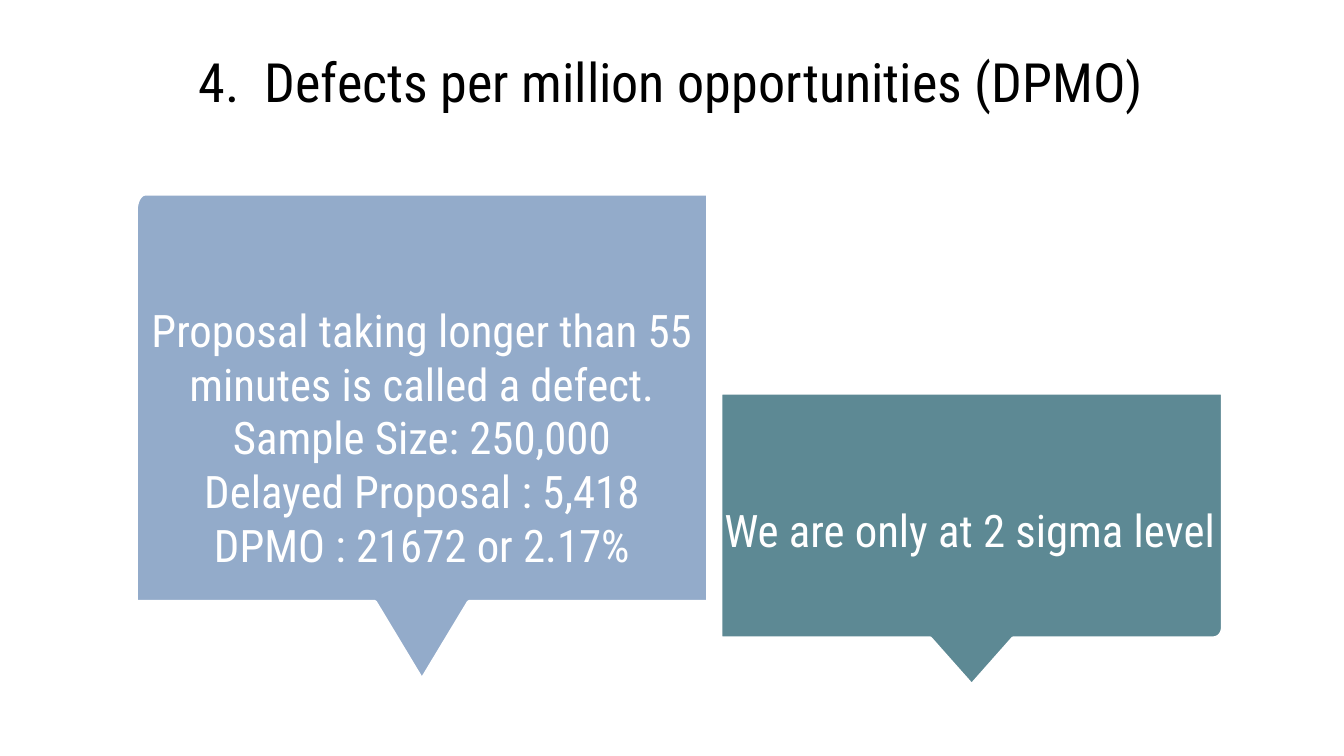
import math

from pptx import Presentation
from pptx.dml.color import RGBColor
from pptx.enum import text
from pptx.util import Inches, Pt

FONT = "Roboto Condensed"
COLORS = {"ink": "000000", "white": "FFFFFF", "blue": "93ABCA", "teal": "5D8994"}
SLIDE_WIDTH = 10
SLIDE_HEIGHT = SLIDE_WIDTH * 9 / 16
ARC_STEPS = 8


def color(name):
    return RGBColor.from_string(COLORS[name])


def write(shape, lines, size, ink):
    """Fill a shape with centred paragraphs, one for each line."""
    frame = shape.text_frame
    frame.word_wrap = True
    frame.vertical_anchor = text.MSO_ANCHOR.MIDDLE
    frame.margin_left = frame.margin_right = Inches(0.1)
    frame.margin_top = frame.margin_bottom = Inches(0.1)
    for index, line in enumerate(lines):
        para = frame.add_paragraph() if index else frame.paragraphs[0]
        para.alignment = text.PP_ALIGN.CENTER
        span = para.add_run()
        span.text = line
        span.font.name = FONT
        span.font.size = Pt(size)
        span.font.color.rgb = color(ink)


def add_label(page, box, lines, size, ink):
    label = page.shapes.add_textbox(*map(Inches, box))
    write(label, lines, size, ink)


def arc(center_x, center_y, radius_x, radius_y, start):
    """Points of a quarter ellipse, from the start angle back by 90 degrees."""
    angles = [math.radians(start - 90 * step / ARC_STEPS)
              for step in range(ARC_STEPS + 1)]
    return [(center_x + radius_x * math.cos(a), center_y + radius_y * math.sin(a))
            for a in angles]


def add_callout(page, box, body, tail, radii, rounded, fill):
    """Draw a box with one rounded corner and a tail below its middle."""
    left, top, width, height = box
    radius_x, radius_y = radii
    top_left, bottom_right = [(0, 0)], [(width, body)]
    if rounded == "top left":
        top_left = arc(radius_x, radius_y, radius_x, radius_y, 270)
    else:
        bottom_right = arc(width - radius_x, body - radius_y, radius_x, radius_y, 90)
    middle = width / 2
    tail_points = [(middle - tail / 2, body), (middle, height),
                   (middle + tail / 2, body)]
    outline = [(width, 0), *top_left, (0, body), *tail_points, *bottom_right]
    points = [(Inches(left + x), Inches(top + y)) for x, y in outline]

    builder = page.shapes.build_freeform(*points[0], scale=1.0)
    builder.add_line_segments(points[1:], close=True)
    callout = builder.convert_to_shape()
    callout.shadow.inherit = False
    callout.fill.solid()
    callout.fill.fore_color.rgb = color(fill)
    callout.line.color.rgb = color("white")
    callout.line.width = Pt(2.25)
    return callout


def add_sigma_level(page, box):
    left, top, width, height = box
    add_callout(page, box, 1.83, 0.62, (0.07, 0.08), "bottom right", "teal")
    label_box = (left - 0.24, top + 0.35, width + 0.45, 1.34)
    add_label(page, label_box, ["We are only at 2 sigma level"], 24, "white")


def add_defect_summary(page, box):
    callout = add_callout(page, box, 3.04, 0.7, (0.07, 0.13), "top left", "blue")
    write(callout, [
        "Proposal taking longer than 55 minutes is called a defect.",
        "Sample Size: 250,000",
        "Delayed Proposal : 5,418",
        "DPMO : 21672 or 2.17%",
    ], 24, "white")


def main():
    deck = Presentation()
    deck.slide_width, deck.slide_height = Inches(SLIDE_WIDTH), Inches(SLIDE_HEIGHT)
    page = deck.slides.add_slide(deck.slide_layouts[6])
    add_sigma_level(page, (5.36, 2.92, 3.74, 2.18))
    add_defect_summary(page, (1.01, 1.44, 4.26, 3.62))
    add_label(page, (0.5, 0.45, 9, 0.3),
              ["4.  Defects per million opportunities (DPMO)"], 29, "ink")
    deck.save("out.pptx")


if __name__ == "__main__":
    main()
